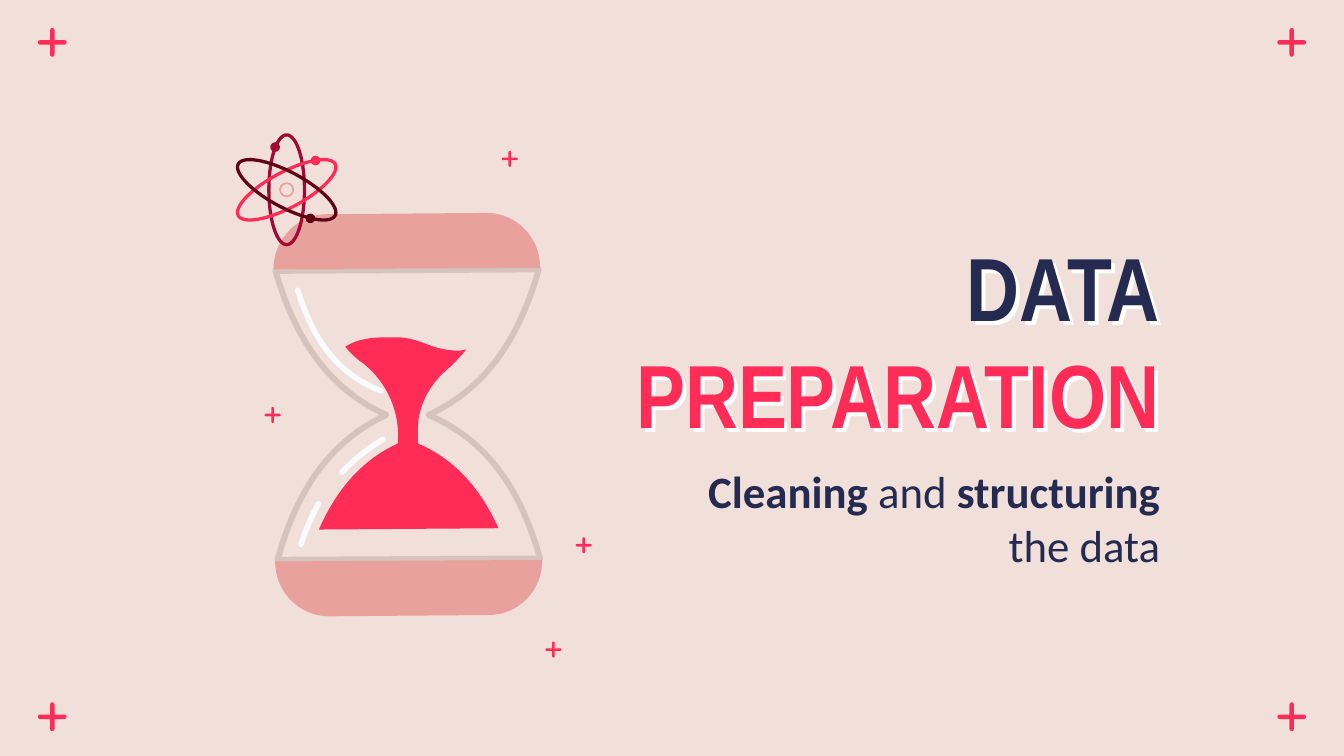
from dataclasses import dataclass
from itertools import product
from math import cos, radians, sin

from lxml.etree import SubElement
from pptx import Presentation
from pptx.dml.color import RGBColor
from pptx.enum.shapes import MSO_SHAPE
from pptx.enum.text import MSO_ANCHOR, PP_ALIGN
from pptx.oxml.ns import qn
from pptx.util import Pt


@dataclass(frozen=True)
class Theme:
    background: str = "F1E0DA"
    navy: str = "252A51"
    red: str = "FF2C58"
    crimson: str = "A00A35"
    maroon: str = "630216"
    rose: str = "E8A19D"
    glass: str = "D6C3BD"
    white: str = "F9FBFC"
    shadow: str = "FFFFFF"
    title_font: str = "Arial Narrow"
    title_size: float = 48
    body_font: str = "Calibri"
    body_size: float = 24


@dataclass(frozen=True)
class Outline:
    """Start point, then (x, y) lines and (x1, y1, x2, y2, x, y) curves."""
    start: tuple
    segments: list
    color: str
    stroke: float = 0  # 0 means filled
    closed: bool = True


@dataclass(frozen=True)
class Orbit:
    color: str
    rotation: float
    electron: tuple


@dataclass(frozen=True)
class TextRun:
    text: str
    color: str
    bold: bool


THEME = Theme()
CURVE_STEPS = 16

GLASS = Outline((147.6, 145.1), [
    (288.7, 144.3),
    (277.6, 183.6, 258.8, 208.8, 229.7, 222.3),
    (259.9, 235.4, 278.3, 259.9, 289.4, 299.2),
    (148.7, 299.9),
    (159.5, 261, 177.8, 235.8, 207, 222.3),
    (177.8, 209.2, 158.8, 184, 147.6, 145.1)], THEME.glass, 3.2)
SAND = Outline((208.1, 180.7), [
    (200.2, 180.7, 191.5, 181.4, 185, 185.8),
    (187.2, 188.6, 190.8, 192.2, 195.1, 195.1),
    (207.4, 205.2, 214.6, 221, 213.1, 237.6),
    (194.4, 246.2, 180.7, 261.4, 170.8, 283.7),
    (267.1, 283),
    (257, 260.6, 242.6, 245.5, 223.9, 237.6),
    (223.9, 229.7),
    (223.9, 216.7, 231.1, 204.5, 241.2, 196.6),
    (244.1, 193.7, 247, 190.8, 249.8, 187.2),
    (246.2, 187.9),
    (241.9, 187.9, 236.9, 187.2, 232.6, 185.8),
    (228.2, 184.3, 223.2, 182.2, 218.9, 181.4),
    (216, 180.7, 213.1, 180.7, 208.1, 180.7)], THEME.red)
HIGHLIGHTS = [Outline(start, [curve], THEME.white, 3, False) for start, curve in (
    ((159.5, 155.5), (165.6, 175, 176, 198.4, 204.1, 209.5)),
    ((161.3, 291.6), (163.8, 284, 167, 276.5, 170.6, 270)),
    ((183.2, 253.1), (189.7, 246.2, 196.9, 240.5, 205.2, 235.4)))]
TOP_CAP = Outline((146.5, 144.2), [
    (146.5, 128.4, 159.3, 114.8, 175.2, 114.8),
    (260.8, 114.1),
    (276.5, 114.1, 289.4, 127, 289.4, 143.5)], THEME.rose)
BOTTOM_CAP = Outline((147.4, 300.8), [
    (147.4, 317.2, 160.4, 330.2, 176.2, 330.2),
    (262.1, 329.5),
    (277.9, 329.5, 290.9, 315.9, 290.4, 300)], THEME.rose)

ATOM_CENTER = (153.6, 101.7)
ORBITS = [
    Orbit(THEME.crimson, 0, (147.4, 78.8)),
    Orbit(THEME.red, 62, (169, 86)),
    Orbit(THEME.maroon, -62, (166.3, 117)),
]
CORNER_PLUSES = list(product((28, 692), (22.7, 384)))
SMALL_PLUSES = [(146.1, 222.3), (273.1, 85.1), (312.7, 292.1), (296.5, 348)]


def paint(shape, color: str, stroke: float = 0) -> None:
    """Fill the shape, or only stroke it when a stroke width is given."""
    shape.shadow.inherit = False
    if stroke:
        shape.fill.background()
        shape.line.width = Pt(stroke)
        shape.line.color.rgb = RGBColor.from_string(color)
    else:
        shape.fill.solid()
        shape.fill.fore_color.rgb = RGBColor.from_string(color)
        shape.line.fill.background()


def curve_points(start: tuple, curve: tuple) -> list:
    """Points along a cubic curve, without its start."""
    controls = [start, curve[:2], curve[2:4], curve[4:]]
    points = []
    for step in range(1, CURVE_STEPS + 1):
        t = step / CURVE_STEPS
        weights = ((1 - t) ** 3, 3 * t * (1 - t) ** 2, 3 * t * t * (1 - t), t ** 3)
        points.append(tuple(sum(weight * control[axis] for weight, control
                                in zip(weights, controls)) for axis in (0, 1)))
    return points


def draw_outline(slide, outline: Outline) -> None:
    points = [outline.start]
    for segment in outline.segments:
        points += [segment] if len(segment) == 2 else curve_points(points[-1], segment)
    builder = slide.shapes.build_freeform(*map(Pt, outline.start), scale=1.0)
    builder.add_line_segments([(Pt(x), Pt(y)) for x, y in points[1:]], close=outline.closed)
    shape = builder.convert_to_shape()
    paint(shape, outline.color, outline.stroke)
    if outline.stroke:
        line = shape.line._get_or_add_ln()
        line.set("cap", "rnd")
        SubElement(line, qn("a:round"))


def draw_centered(slide, kind, center: tuple, width: float, height: float,
                  color: str, stroke: float = 0):
    x, y = center
    shape = slide.shapes.add_shape(kind, Pt(x - width / 2), Pt(y - height / 2),
                                   Pt(width), Pt(height))
    paint(shape, color, stroke)
    return shape


def draw_plus(slide, center: tuple, length: float, thickness: float) -> None:
    for width, height in ((length, thickness), (thickness, length)):
        bar = draw_centered(slide, MSO_SHAPE.ROUNDED_RECTANGLE, center, width, height, THEME.red)
        bar.adjustments[0] = 0.5


def orbit_points(rotation: float) -> list:
    turn, (x, y) = radians(rotation), ATOM_CENTER
    ellipse = [(9.55 * cos(radians(a)), 29.4 * sin(radians(a))) for a in range(0, 360, 5)]
    return [(x + u * cos(turn) - v * sin(turn), y + u * sin(turn) + v * cos(turn))
            for u, v in ellipse]


def draw_atom(slide) -> None:
    for orbit in ORBITS:
        start, *points = orbit_points(orbit.rotation)
        draw_outline(slide, Outline(start, points, orbit.color, 1.75))
    for orbit in ORBITS:
        draw_centered(slide, MSO_SHAPE.OVAL, orbit.electron, 5.2, 5.2, orbit.color)
    draw_centered(slide, MSO_SHAPE.OVAL, ATOM_CENTER, 7.1, 7.1, THEME.rose, 0.9)


def draw_text(slide, box: tuple, runs: list, font: str, size: float, anchor):
    shape = slide.shapes.add_textbox(*map(Pt, box))
    frame = shape.text_frame
    frame.word_wrap = True
    frame.vertical_anchor = anchor
    frame.margin_left = frame.margin_right = frame.margin_top = frame.margin_bottom = Pt(7.2)
    paragraph = frame.paragraphs[0]
    paragraph.alignment = PP_ALIGN.RIGHT
    for item in runs:
        run = paragraph.add_run()
        run.text = item.text
        run.font.name, run.font.size, run.font.bold = font, Pt(size), item.bold
        run.font.color.rgb = RGBColor.from_string(item.color)
    return shape


def add_hard_shadow(shape, color: str, distance: float) -> None:
    effects = SubElement(shape._element.spPr, qn("a:effectLst"))
    shadow = SubElement(effects, qn("a:outerShdw"), dist=str(Pt(distance)), dir="2700000")
    SubElement(shadow, qn("a:srgbClr"), val=color)


def main() -> None:
    presentation = Presentation()
    presentation.slide_width, presentation.slide_height = Pt(720), Pt(405)
    slide = presentation.slides.add_slide(presentation.slide_layouts[6])
    slide.background.fill.solid()
    slide.background.fill.fore_color.rgb = RGBColor.from_string(THEME.background)
    # Corner marks
    for center in CORNER_PLUSES:
        draw_plus(slide, center, 15.4, 2.4)
    # Title and subtitle
    title = draw_text(slide, (332.6, 134.3, 295.9, 95), [
        TextRun("DATA", THEME.navy, True), TextRun(" PREPARATION", THEME.red, True),
    ], THEME.title_font, THEME.title_size, MSO_ANCHOR.MIDDLE)
    add_hard_shadow(title, THEME.shadow, 3)
    draw_text(slide, (362.2, 241.2, 266.4, 48.2), [
        TextRun("Cleaning ", THEME.navy, True), TextRun("and ", THEME.navy, False),
        TextRun("structuring", THEME.navy, True), TextRun(" the data", THEME.navy, False),
    ], THEME.body_font, THEME.body_size, MSO_ANCHOR.TOP)
    # Hourglass with small marks and the atom
    for outline in (GLASS, SAND, *HIGHLIGHTS, TOP_CAP, BOTTOM_CAP):
        draw_outline(slide, outline)
    for center in SMALL_PLUSES:
        draw_plus(slide, center, 8.6, 1.4)
    draw_atom(slide)
    presentation.save("out.pptx")


if __name__ == "__main__":
    main()
